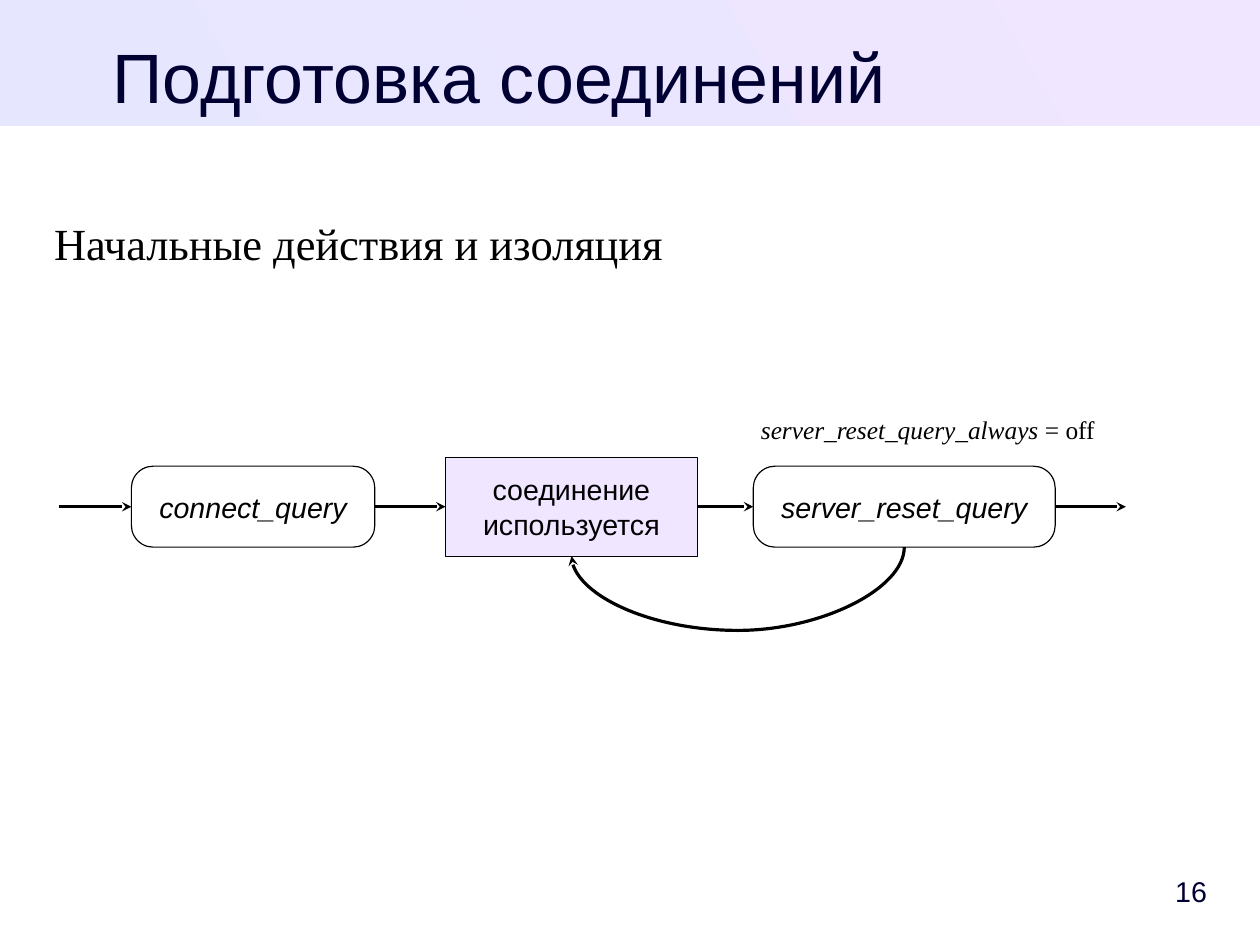
"""Build the slide on preparing pooled connections."""
from dataclasses import dataclass

from lxml.etree import SubElement
from pptx import Presentation
from pptx.dml.color import RGBColor as Rgb
from pptx.enum.shapes import MSO_CONNECTOR as Link, MSO_SHAPE as Form
from pptx.enum.text import MSO_ANCHOR as Anchor, MSO_AUTO_SIZE as Fit, PP_ALIGN as Align
from pptx.oxml.ns import qn
from pptx.util import Cm, Pt


@dataclass(frozen=True)
class Theme:
    sans: str = "Arial"
    serif: str = "Times New Roman"
    ink: str = "000000"
    navy: str = "000033"
    white: str = "FFFFFF"
    blue: str = "E6E6FF"
    lilac: str = "F0E6FF"
    head: int = 44
    lead: int = 28
    label: int = 18
    note: int = 16


class Board:
    def __init__(self, deck, theme):
        self.theme = theme
        self.slide = deck.slides.add_slide(deck.slide_layouts[1])
        self.shapes = self.slide.shapes

    def font(self, para, size, face, tone, slant=False):
        font = para.font
        font.size, font.name, font.italic = Pt(size), face, slant
        font.color.rgb = Rgb.from_string(tone)

    def place(self, shape, area):
        shape.left, shape.top, shape.width, shape.height = map(Cm, area)

    def holder(self, shape, area, text):
        self.place(shape, area)
        frame = shape.text_frame
        frame.auto_size, frame.vertical_anchor = Fit.NONE, Anchor.TOP
        frame.margin_left = frame.margin_right = 0
        frame.margin_top = frame.margin_bottom = 0
        frame.text = text
        return frame.paragraphs[0]

    def title(self, text, area):
        para = self.holder(self.shapes.title, area, text)
        para.alignment = Align.CENTER
        self.font(para, self.theme.head, self.theme.sans, self.theme.navy)

    def body(self, text, area):
        para = self.holder(self.slide.placeholders[1], area, text)
        props = para._p.get_or_add_pPr()
        props.set("marL", "0")
        props.set("indent", "0")
        SubElement(props, qn("a:buNone"))
        para.space_before, para.space_after = Pt(0), Pt(11.3)
        self.font(para, self.theme.lead, self.theme.serif, self.theme.ink)

    def band(self, area):
        band = self.shapes.add_shape(Form.RECTANGLE, *map(Cm, area))
        band.shadow.inherit = False
        band.line.fill.background()
        band.fill.gradient()
        band.fill.gradient_angle = 30
        tones = self.theme.blue, self.theme.lilac
        for stop, tone in zip(band.fill.gradient_stops, tones):
            stop.color.rgb = Rgb.from_string(tone)
        self.shapes.title.element.addprevious(band.element)

    def text(self, area):
        frame = self.shapes.add_textbox(*map(Cm, area)).text_frame
        frame.word_wrap = True
        return frame

    def number(self, text, area):
        frame = self.text(area)
        frame.vertical_anchor, frame.margin_right = Anchor.MIDDLE, 0
        frame.text = text
        para = frame.paragraphs[0]
        para.alignment = Align.RIGHT
        self.font(para, self.theme.label, self.theme.sans, self.theme.navy)

    def note(self, name, value, area):
        para = self.text(area).paragraphs[0]
        self.font(para, self.theme.note, self.theme.serif, self.theme.ink)
        for text, slant in ((name, True), (value, False)):
            run = para.add_run()
            run.text, run.font.italic = text, slant

    def box(self, text, form, left, mid, width, height, tone, slant=False):
        area = left, mid - height / 2, width, height
        box = self.shapes.add_shape(form, *map(Cm, area))
        box.shadow.inherit = False
        if form == Form.ROUNDED_RECTANGLE:
            box.adjustments[0] = 0.27
        box.fill.solid()
        box.fill.fore_color.rgb = Rgb.from_string(tone)
        box.line.color.rgb = Rgb.from_string(self.theme.ink)
        box.line.width = Pt(0)
        frame = box.text_frame
        frame.word_wrap, frame.vertical_anchor = False, Anchor.MIDDLE
        frame.text = text
        para = frame.paragraphs[0]
        para.alignment = Align.CENTER
        self.font(para, self.theme.label, self.theme.sans, self.theme.ink, slant)
        return box

    def arrow(self, start, end, mid, kind=Link.STRAIGHT, sites=(3, 1)):
        ends = [Cm(x) if isinstance(x, (int, float)) else 0 for x in (start, end)]
        line = self.shapes.add_connector(kind, ends[0], Cm(mid), ends[1], Cm(mid))
        if not isinstance(start, (int, float)):
            line.begin_connect(start, sites[0])
        if not isinstance(end, (int, float)):
            line.end_connect(end, sites[1])
        line.line.color.rgb = Rgb.from_string(self.theme.ink)
        line.line.width = Pt(0)
        props = line.element.spPr
        SubElement(props.find(qn("a:ln")), qn("a:tailEnd"), type="stealth")
        SubElement(props, qn("a:effectLst"))
        return line

    def loop(self, start, end, mid, bend):
        line = self.arrow(start, end, mid, Link.CURVE, (2, 2))
        x = (line.begin_x + line.end_x) // 2
        y = (line.begin_y + line.end_y) // 2
        wide, high = line.end_y - line.begin_y, line.begin_x - line.end_x
        turn = line.element.spPr.find(qn("a:xfrm"))
        turn.set("rot", "5400000")
        turn.set("flipH", "0")
        turn.set("flipV", "0")
        line.left, line.top = x - wide // 2, y - high // 2
        line.width, line.height = wide, high
        guide = line.element.spPr.find(".//" + qn("a:avLst"))
        SubElement(guide, qn("a:gd"), name="adj1", fmla=f"val {bend}")


def main():
    deck = Presentation()
    deck.slide_width, deck.slide_height = Cm(28), Cm(21)
    theme = Theme()
    board = Board(deck, theme)
    board.band((0, 0, 28, 2.8))
    board.title("Подготовка соединений", (1.2, 0.74, 19.8, 1.75))
    board.body("Начальные действия и изоляция", (1.2, 4.8, 25.6, 14.5))
    board.number("16", (24.61, 19.2, 2.21, 1.19))

    mid = 11.26
    query = board.box("connect_query", Form.ROUNDED_RECTANGLE,
                      2.92, mid, 5.41, 1.8, theme.white, True)
    reset = board.box("server_reset_query", Form.ROUNDED_RECTANGLE,
                      16.74, mid, 6.71, 1.8, theme.white, True)
    used = board.box("соединение\vиспользуется", Form.RECTANGLE,
                     9.9, mid, 5.6, 2.2, theme.lilac)
    stops = [1.32, query, used, reset, 25.02]
    for start, end in zip(stops, stops[1:]):
        board.arrow(start, end, mid)
    board.loop(reset, used, mid, 925000)
    board.note("server_reset_query_always", " = off", (16.66, 9.07, 8.64, 1.17))
    deck.save("out.pptx")


if __name__ == "__main__":
    main()
